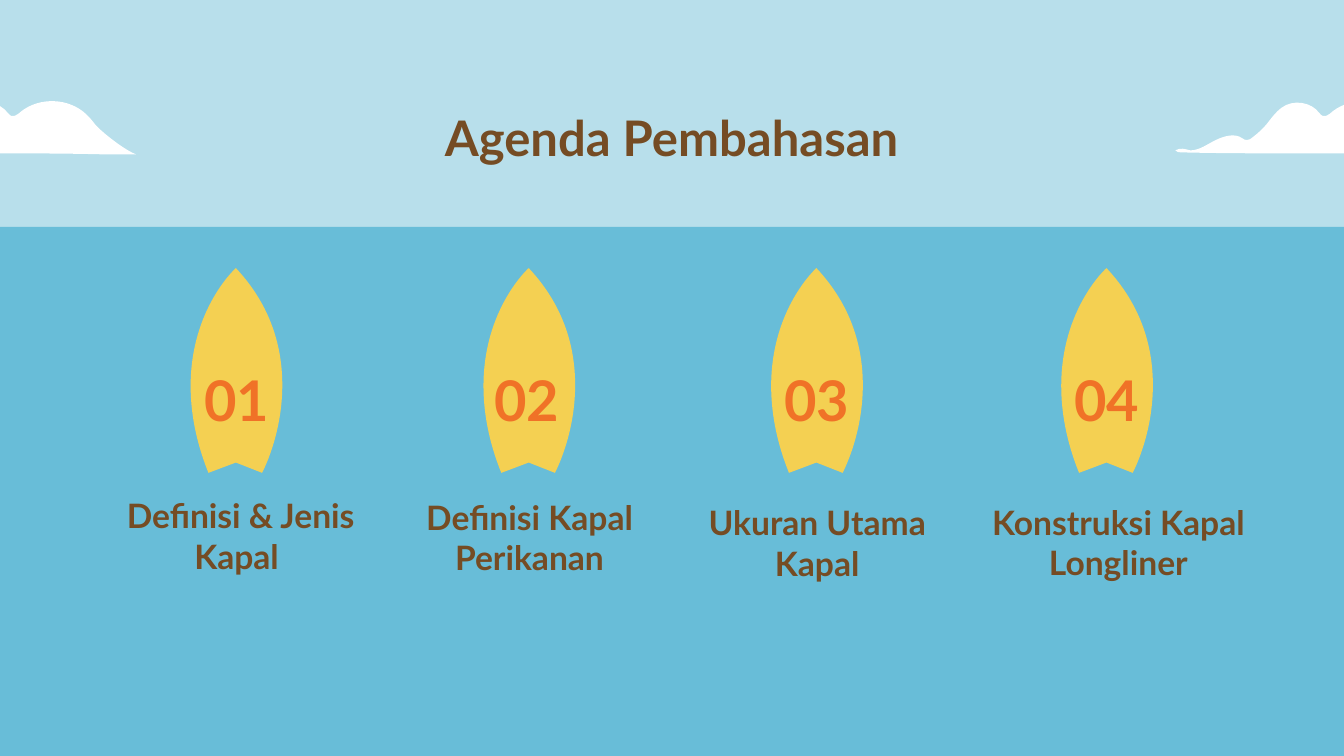
import lxml.etree
import pptx
import pptx.dml.color
import pptx.enum.shapes
import pptx.enum.text
import pptx.oxml.ns
import pptx.util

Cm = pptx.util.Cm
ALIGN = pptx.enum.text.PP_ALIGN
ANCHOR = pptx.enum.text.MSO_ANCHOR
qn = pptx.oxml.ns.qn

TITLE = "Agenda Pembahasan"
# number, label lines, board left, label left, label top (cm)
AGENDA = [
    ("01", ["Definisi & Jenis Kapal "], 3.38, 2.13, 13.19),
    ("02", ["Definisi Kapal Perikanan"], 10.76, 9.41, 13.23),
    ("03", ["Ukuran Utama", "Kapal"], 18.01, 16.66, 13.37),
    ("04", ["Konstruksi Kapal Longliner"], 25.32, 24.25, 13.36),
]

THEME = {
    "font": "Lato",
    "sky": "B8DFEB", "sea": "68BDD8", "cloud": "FFFFFF", "board": "F4D052",
    "text": "754C24", "number": "F07227",
    "title_size": 35, "label_size": 24, "number_size": 40,
}

SLIDE_WIDTH, SLIDE_HEIGHT = 33.87, 19.05
SEA_TOP = 5.72
BOARD_TOP = 8.18
CLOUD_TOP = 2.44
CLOUD_LEFTS = (-3.43, 29.62)
NUMBER_LEFT, NUMBER_TOP, NUMBER_PITCH = 4.95, 9.19, 7.31

# Outlines in cm: a start point, then line ends (2 values) or cubic curves (6 values).
# The board lies on its side, tip to the right, and is turned upright when drawn.
BOARD = [
    (2.19, 0),
    (1.55, 0, 0.82, 0.12, 0, 0.45),
    (0.26, 1.14),
    (0, 1.8),
    (0, 1.8, 0.94, 2.31, 2.21, 2.31),
    (3.13, 2.31, 4.19, 2.05, 5.16, 1.14),
    (5.16, 1.14, 4.14, 0, 2.19, 0),
]
CLOUD = [
    (6.02, 1.45),
    (4.09, 1.4, 2.11, 1.45, 0.15, 1.4),
    (0.1, 1.4, 0.03, 1.4, 0, 1.35),
    (0.13, 1.27, 0.25, 1.32, 0.38, 1.35),
    (0.61, 1.35, 0.81, 1.19, 1.02, 1.09),
    (1.22, 0.99, 1.5, 0.91, 1.68, 1.04),
    (1.73, 1.07, 1.75, 1.09, 1.8, 1.09),
    (1.83, 1.09, 1.85, 1.07, 1.88, 1.07),
    (2.06, 0.94, 2.21, 0.81, 2.34, 0.64),
    (2.44, 0.51, 2.54, 0.38, 2.67, 0.28),
    (2.97, 0.05, 3.43, 0.13, 3.63, 0.41),
    (3.66, 0.43, 3.68, 0.48, 3.71, 0.48),
    (3.78, 0.51, 3.84, 0.46, 3.89, 0.43),
    (4.32, 0.03, 5.03, 0, 5.51, 0.36),
    (5.64, 0.46, 5.74, 0.58, 5.84, 0.71),
    (6.02, 0.91, 6.58, 1.35, 6.86, 1.45),
]


def color(name):
    return pptx.dml.color.RGBColor.from_string(THEME[name])


def paint(shape, color_name):
    shape.fill.solid()
    shape.fill.fore_color.rgb = color(color_name)
    shape.line.fill.background()
    shape.shadow.inherit = False


def draw_outline(slide, outline, left, top, color_name):
    """Build the outline from its end points, then bend the curved segments."""
    ends = [(Cm(left + segment[-2]), Cm(top + segment[-1])) for segment in outline]
    builder = slide.shapes.build_freeform(*ends[0])
    builder.add_line_segments(ends[1:], close=False)
    shape = builder.convert_to_shape()
    lines = list(shape.element.iter(qn("a:lnTo")))
    for line, segment in zip(lines, outline[1:]):
        if len(segment) == 2:
            continue
        line.tag = qn("a:cubicBezTo")
        controls = [segment[0:2], segment[2:4]]
        for position, (x, y) in enumerate(controls):
            point = lxml.etree.SubElement(line, qn("a:pt"))
            point.set("x", str(Cm(left + x) - shape.left))
            point.set("y", str(Cm(top + y) - shape.top))
            line.insert(position, point)
    outline_path = next(shape.element.iter(qn("a:pathLst")))[0]
    lxml.etree.SubElement(outline_path, qn("a:close"))
    paint(shape, color_name)
    return shape


def write(box, lines, place, size, color_name, anchor, inset):
    """Place a box (left, top, width, height in cm) and fill its one paragraph."""
    box.left, box.top, box.width, box.height = [Cm(length) for length in place]
    frame = box.text_frame
    frame.word_wrap = True
    frame.auto_size = pptx.enum.text.MSO_AUTO_SIZE.NONE
    frame.vertical_anchor = anchor
    frame.margin_left = frame.margin_right = Cm(inset)
    frame.margin_top = frame.margin_bottom = Cm(inset)
    para = frame.paragraphs[0]
    para.alignment = ALIGN.CENTER
    for index, line in enumerate(lines):
        if index:
            para.add_line_break()
        span = para.add_run()
        span.text = line
        span.font.name = THEME["font"]
        span.font.size = pptx.util.Pt(THEME[size])
        span.font.bold = True
        span.font.color.rgb = color(color_name)


def add_text(slide, *settings):
    write(slide.shapes.add_textbox(0, 0, 0, 0), *settings)


def main():
    deck = pptx.Presentation()
    deck.slide_width, deck.slide_height = Cm(SLIDE_WIDTH), Cm(SLIDE_HEIGHT)
    slide = deck.slides.add_slide(deck.slide_layouts[5])
    slide.background.fill.solid()
    slide.background.fill.fore_color.rgb = color("sky")

    sea = slide.shapes.add_shape(
        pptx.enum.shapes.MSO_SHAPE.RECTANGLE,
        0, Cm(SEA_TOP), Cm(SLIDE_WIDTH), Cm(SLIDE_HEIGHT - SEA_TOP))
    paint(sea, "sea")
    for left in CLOUD_LEFTS:
        draw_outline(slide, CLOUD, left, CLOUD_TOP, "cloud")

    write(slide.shapes.title, [TITLE], (2.63, 2.62, 28.6, 1.65),
          "title_size", "text", ANCHOR.MIDDLE, 0.33)

    for index, (number, label, board_left, label_left, label_top) in enumerate(AGENDA):
        board = draw_outline(slide, BOARD, board_left, BOARD_TOP, "board")
        board.rotation = 270
        add_text(slide, label, (label_left, label_top, 7.87, 1.65),
                 "label_size", "text", ANCHOR.BOTTOM, 0.33)
        number_left = NUMBER_LEFT + index * NUMBER_PITCH
        add_text(slide, [number], (number_left, NUMBER_TOP, 2.03, 1.73),
                 "number_size", "number", ANCHOR.MIDDLE, 0)

    deck.save("out.pptx")


if __name__ == "__main__":
    main()
